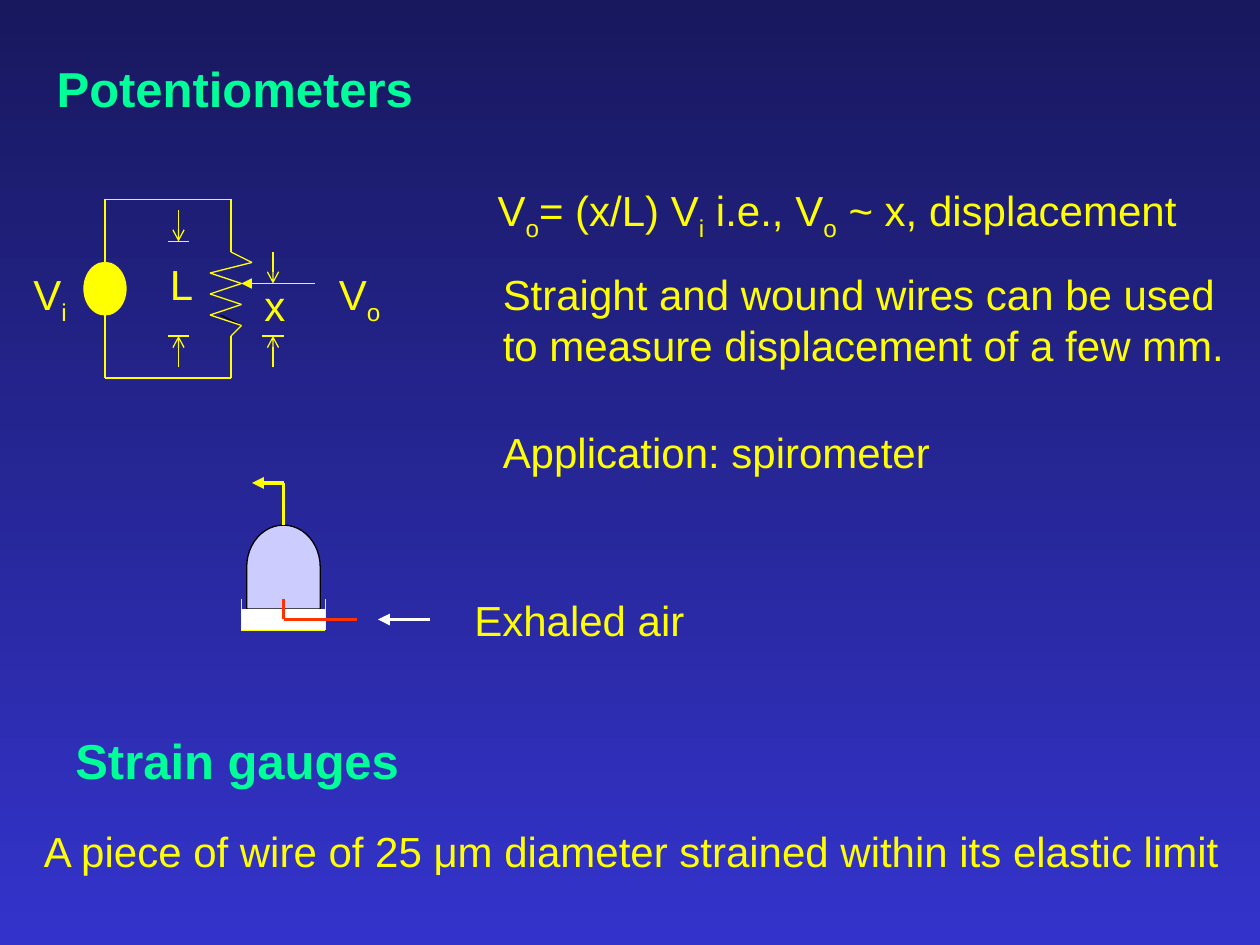
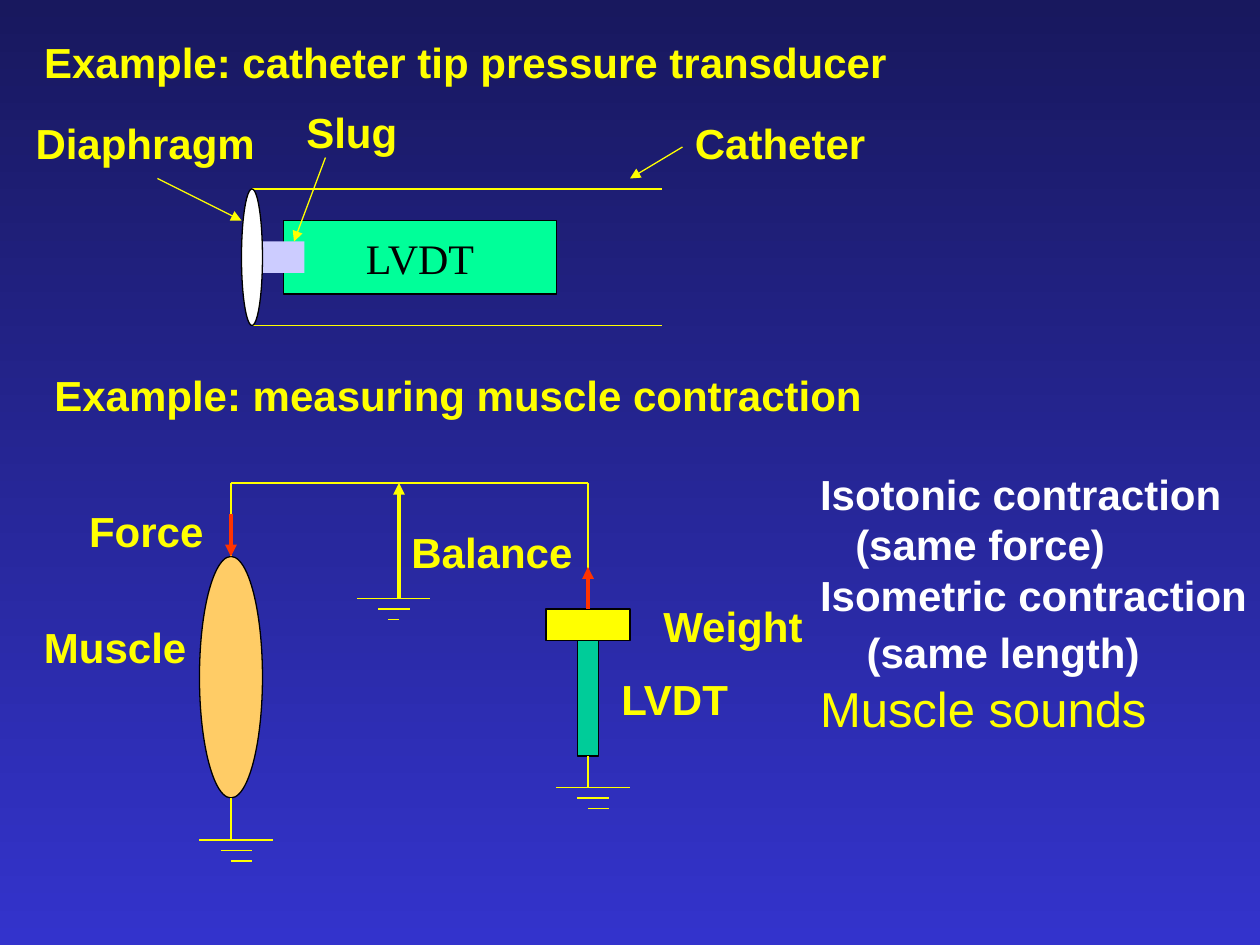
"""Builds two slides on displacement sensors: potentiometers and LVDT examples."""
from lxml import etree
from pptx import Presentation
from pptx import util as u
from pptx.dml.color import RGBColor
from pptx.enum import shapes, text
from pptx.oxml.ns import qn

COLOURS = {
    "night": "18185E", "blue": "3333CC", "mint": "00FF99", "yellow": "FFFF00",
    "white": "FFFFFF", "black": "000000", "red": "FF3300", "lilac": "CCCCFF",
    "flesh": "FFCC66", "teal": "00CC99",
}
SHAPE = shapes.MSO_SHAPE
THIN, THICK = 0.75, 2.25


def colour(name):
    return RGBColor.from_string(COLOURS[name])


def grid(*counts):
    """Turn twelfths of an inch into lengths."""
    return [u.Cm(count * 2.54 / 12) for count in counts]


class Sketch:
    """Holds the deck, its style and the current slide."""

    def __init__(self):
        self.deck = Presentation()
        self.deck.slide_width, self.deck.slide_height = u.Cm(25.4), u.Cm(19.05)
        backdrop = self.deck.slide_master.background.fill
        backdrop.gradient()
        backdrop.gradient_angle = 270
        for stop, name in zip(backdrop.gradient_stops, ("night", "blue")):
            stop.color.rgb = colour(name)

    def new_slide(self, layout):
        self.slide = self.deck.slides.add_slide(self.deck.slide_layouts[layout])

    def style(self, para, size=24, ink="yellow", bold=False, face="Arial"):
        para.line_spacing = 1.0
        para.font.size, para.font.name = u.Pt(size), face
        para.font.bold = bold
        para.font.color.rgb = colour(ink)

    def frame(self, box, place):
        box.left, box.top, box.width, box.height = grid(*place)
        frame = box.text_frame
        frame.word_wrap = True
        frame.auto_size = text.MSO_AUTO_SIZE.NONE
        frame.vertical_anchor = text.MSO_ANCHOR.TOP
        return frame

    def title(self, words, place, **look):
        para = self.frame(self.slide.shapes.title, place).paragraphs[0]
        para.text = words
        para.alignment = text.PP_ALIGN.LEFT
        self.style(para, bold=True, **look)

    def body(self, items, place):
        """Write unbulleted items of words, indent in cm, space before and look."""
        frame = self.frame(self.slide.placeholders[1], place)
        frame.margin_right = 0
        for number, (words, indent, space, look) in enumerate(items):
            para = frame.add_paragraph() if number else frame.paragraphs[0]
            para.text = words
            settings = para._p.get_or_add_pPr()
            settings.set("marL", str(u.Cm(indent)))
            settings.set("indent", "0")
            etree.SubElement(settings, qn("a:buNone"))
            para.space_before = u.Pt(space)
            self.style(para, **look)

    def label(self, lines, place, **look):
        """Write lines of text; the letter after an underscore is a subscript."""
        box = self.slide.shapes.add_textbox(*grid(*place))
        frame = self.frame(box, place)
        for number, line in enumerate(lines.split("\n")):
            para = frame.add_paragraph() if number else frame.paragraphs[0]
            first, *others = line.split("_")
            para.add_run().text = first
            for piece in others:
                span = para.add_run()
                span.text = piece[0]
                span._r.get_or_add_rPr().set("baseline", "-25000")
                if piece[1:]:
                    para.add_run().text = piece[1:]
            self.style(para, **look)

    def shape(self, kind, place, fill, edge="black", turn=0):
        shape = self.slide.shapes.add_shape(kind, *grid(*place))
        shape.shadow.inherit = False
        shape.rotation = turn
        shape.fill.solid()
        shape.fill.fore_color.rgb = colour(fill)
        if edge:
            shape.line.color.rgb = colour(edge)
            shape.line.width = u.Pt(THIN)
        else:
            shape.line.fill.background()
        return shape

    def line(self, *points, ink="yellow", width=THIN, tip=None):
        """Join points with straight lines, the last one tipped; return that one."""
        for start, end in zip(points, points[1:]):
            line = self.slide.shapes.add_connector(
                shapes.MSO_CONNECTOR.STRAIGHT, *grid(*start, *end))
            line.line.color.rgb = colour(ink)
            line.line.width = u.Pt(width)
            etree.SubElement(line._element.spPr, qn("a:effectLst"))
        if tip:
            etree.SubElement(line.line._get_or_add_ln(), qn("a:tailEnd"), type=tip)
        return line

    def ground(self, left, top, last_end=5):
        for row, (start, end) in enumerate(((0, 7), (2, 5), (3, last_end))):
            self.line((left + start, top + row), (left + end, top + row))


def draw_potentiometers(sketch):
    sketch.new_slide(5)
    sketch.title("Potentiometers", (4.2, 5, 38.9, 6.8), size=28, ink="mint")

    sketch.line((21, 30), (23, 31), ink="black")
    zigzag = [(23 if row % 2 else 20, row) for row in range(26, 32)]
    sketch.line((10, 25), (10, 19), (22, 19), (22, 24), (24, 25), *zigzag,
                (22, 32), (22, 36), (10, 36), (10, 30))
    sketch.shape(SHAPE.OVAL, (8, 25, 4, 5), "yellow", "yellow")
    sketch.line((30, 27), (23, 27), tip="triangle")
    for centre, top in ((17, 23), (26, 27)):
        sketch.line((centre, top - 3), (centre, top), tip="arrow")
        sketch.line((centre, 35), (centre, 32), tip="arrow")
        sketch.line((centre - 1, 32), (centre + 1, 32))
    sketch.line((16, 23), (18, 23))

    sketch.shape(SHAPE.FLOWCHART_DELAY, (23, 50.5, 8, 7), "lilac", turn=270)
    sketch.line((23, 57), (23, 60), (31, 60), (31, 57))
    sketch.shape(SHAPE.RECTANGLE, (23, 58, 8, 2), "white", None)
    sketch.line((27, 50), (27, 46), (24, 46), width=THICK, tip="triangle")
    sketch.line((27, 57), (27, 59), (34, 59), ink="red", width=THICK)
    sketch.line((41, 59), (36, 59), ink="white", width=THICK, tip="triangle")

    for words, place in (
        ("V_i", (2, 25, 6.2, 6.7)),
        ("V_o", (31.1, 25, 7, 6.7)),
        ("L", (15, 24, 5, 6)),
        ("x", (24, 26, 5, 6)),
        ("V_o= (x/L) V_i i.e., V_o ~ x, displacement", (46.2, 17, 70.4, 6.7)),
        ("Straight and wound wires can be used\n"
         "to measure displacement of a few mm.", (46.7, 25, 73.3, 10.8)),
        ("Application: spirometer", (46.7, 40, 45.2, 6)),
        ("Exhaled air", (44, 56, 24.6, 6)),
        ("A piece of wire of 25 μm diameter strained within its elastic limit",
         (3, 78, 115, 6)),
    ):
        sketch.label(words, place)
    sketch.label("Strain gauges", (6, 69, 35.8, 6.8), size=28, ink="mint", bold=True)


def draw_examples(sketch):
    sketch.new_slide(1)
    sketch.title("Example: catheter tip pressure transducer", (3, 2.9, 85.2, 6))

    for wall in (18, 31):
        sketch.line((24, wall), (63, wall))
    transducer = sketch.shape(SHAPE.RECTANGLE, (27, 21, 26, 7), "mint")
    transducer.text_frame.text = "LVDT"
    para = transducer.text_frame.paragraphs[0]
    para.alignment = text.PP_ALIGN.CENTER
    sketch.style(para, ink="black", face="Times New Roman")
    sketch.shape(SHAPE.RECTANGLE, (24, 23, 5, 3), "lilac", None)
    sketch.shape(SHAPE.OVAL, (23, 18, 2, 13), "white")
    for start, end in (((65, 14), (60, 17)), ((15, 17), (23, 21)), ((31, 15), (28, 23))):
        sketch.line(start, end, tip="triangle")

    sketch.shape(SHAPE.OVAL, (19, 53, 6, 23), "flesh")
    beam = sketch.line((22, 53), (22, 46), (56, 46), (56, 58))
    sketch.line((38, 57), (38, 46), width=THICK, tip="triangle")
    weight = sketch.shape(SHAPE.RECTANGLE, (52, 58, 8, 3), "yellow")
    core = sketch.shape(SHAPE.RECTANGLE, (55, 61, 2, 11), "teal")
    beam.end_connect(weight, 0)
    sketch.line((56, 72), (56, 75)).begin_connect(core, 2)
    sketch.line((22, 76), (22, 80))
    sketch.ground(34, 57, last_end=4)
    sketch.ground(53, 75)
    sketch.ground(19, 80)
    pull = sketch.line((56, 58), (56, 54), ink="red", width=THICK, tip="triangle")
    pull.begin_connect(weight, 0)
    sketch.line((22, 49), (22, 53), ink="red", width=THICK, tip="triangle")

    for words, left, top, width in (
        ("Example: measuring muscle contraction", 4, 34.6, 81.8),
        ("Catheter", 65, 10.6, 21.2),
        ("Diaphragm", 2.2, 10.6, 25.8),
        ("Slug", 28, 9.6, 13.7),
        ("Weight", 62, 56.6, 18.1),
        ("LVDT", 58, 63.6, 15.2),
        ("Muscle", 3, 58.6, 18.4),
        ("Balance", 38, 49.6, 20.2),
        ("Force", 7.3, 47.6, 15.7),
    ):
        sketch.label(words, (left, top, width, 6), bold=True)

    strong = {"ink": "white", "bold": True}
    sketch.body((
        ("Isotonic contraction", 0, 0, strong),
        ("(same force)", 0.71, 0, strong),
        ("Isometric contraction", 0, 0, strong),
        ("(same length)", 0.94, 4, strong),
        ("Muscle sounds", 0, 1, {"size": 28}),
    ), (76.9, 44, 43.1, 26.9))


def main():
    sketch = Sketch()
    draw_potentiometers(sketch)
    draw_examples(sketch)
    sketch.deck.save("out.pptx")


if __name__ == "__main__":
    main()
